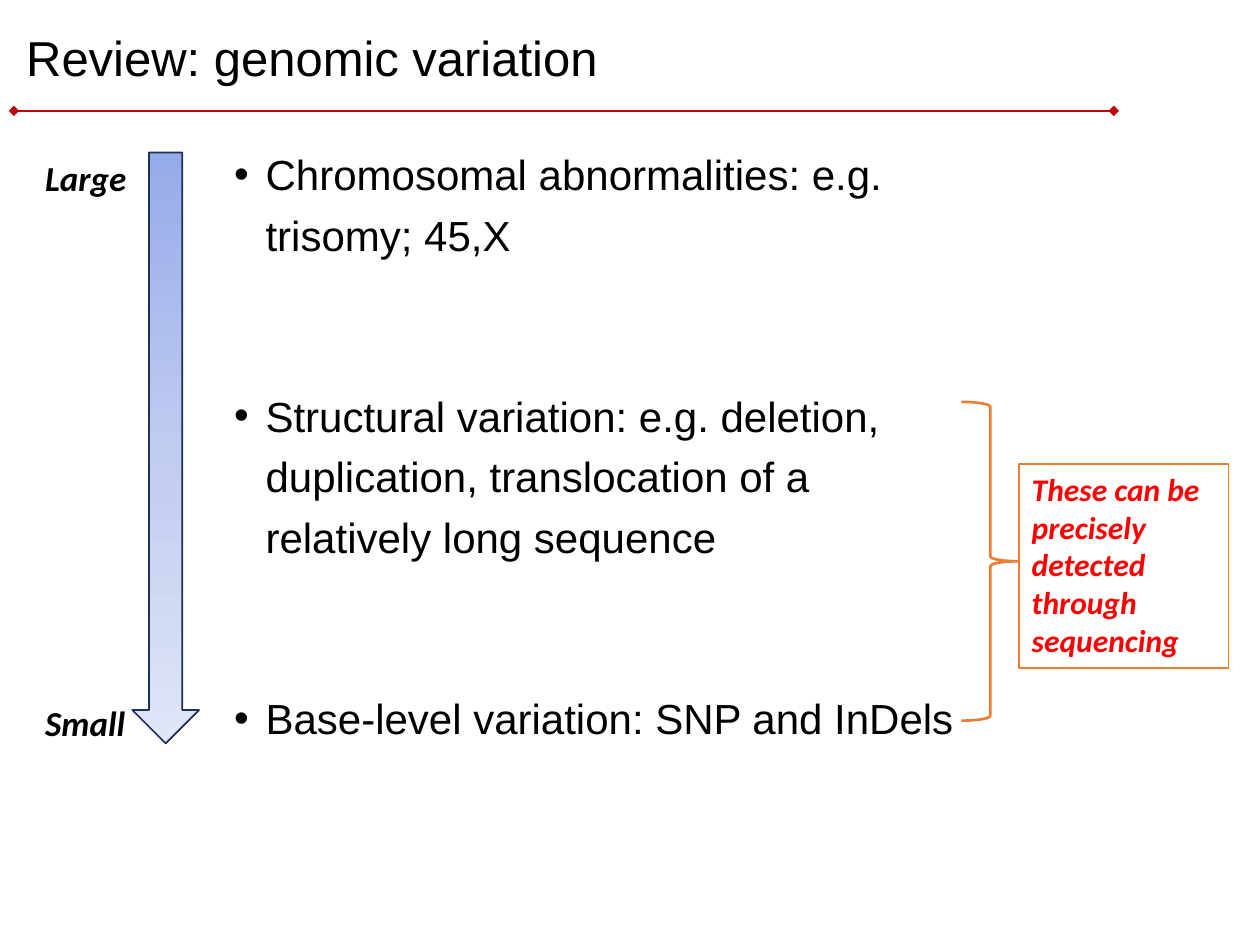
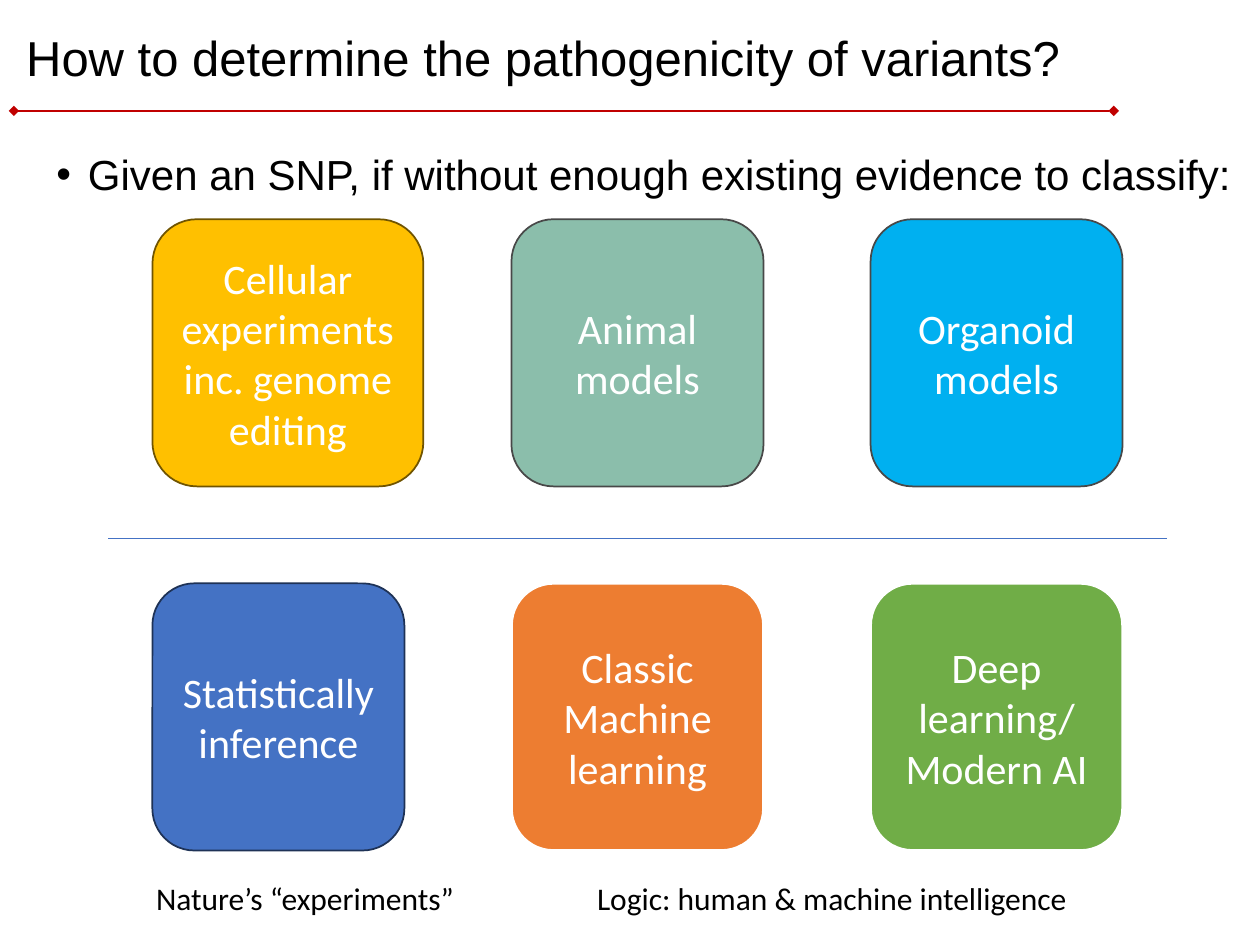
import copy
import pptx
import pptx.util
import pptx.dml.color
import pptx.enum.shapes
import pptx.enum.text
import pptx.oxml
import pptx.oxml.ns

Inches = pptx.util.Inches
Pt = pptx.util.Pt
SHAPE = pptx.enum.shapes.MSO_SHAPE
ANCHOR = pptx.enum.text.MSO_ANCHOR
ALIGN = pptx.enum.text.PP_ALIGN
qn = pptx.oxml.ns.qn

BLACK, WHITE, RED = "000000", "FFFFFF", "FF0000"
RULE, ORANGE, BLUE = "C00000", "ED7D31", "4472C4"
NAVY, GREY = "1E3256", "484848"


def rgb(color):
    return pptx.dml.color.RGBColor.from_string(color)


def element(tag, **attributes):
    el = pptx.oxml.parse_xml('<a:%s %s/>' % (tag, pptx.oxml.ns.nsdecls("a")))
    for name, value in attributes.items():
        el.set(name, value)
    return el


class Deck:
    """Shared style and the slide being filled."""
    heading_font = "Arial"
    label_font = "Calibri"

    def __init__(self):
        self.prs = pptx.Presentation()
        self.prs.slide_width = Inches(10)
        self.prs.slide_height = Inches(7.5)
        self.slide = None

    def new_slide(self, title):
        self.slide = self.prs.slides.add_slide(self.prs.slide_layouts[6])
        self.line(0.11, 0.88, 8.84, 0.88, RULE, 1, ends="diamond")
        tf = self.text_box(0.11, 0.06, 9.07, 0.84)
        tf.vertical_anchor = ANCHOR.MIDDLE
        p = tf.paragraphs[0]
        p.line_spacing = 0.9
        self.run(p, title, 28, self.heading_font)

    def run(self, p, text, size, font, color=BLACK, strong=False):
        r = p.add_run()
        r.text = text
        r.font.size = Pt(size)
        r.font.name = font
        r.font.color.rgb = rgb(color)
        if strong:
            r.font.bold = r.font.italic = True

    def text_box(self, x, y, w, h):
        sp = self.slide.shapes.add_textbox(Inches(x), Inches(y), Inches(w), Inches(h))
        sp.text_frame.word_wrap = True
        return sp.text_frame

    def label(self, x, y, w, text, size, strong=False):
        tf = self.text_box(x, y, w, 0.4)
        self.run(tf.paragraphs[0], text, size, self.label_font, strong=strong)

    def bullets(self, x, y, w, h, items, gap=0):
        tf = self.text_box(x, y, w, h)
        for i, item in enumerate(items):
            p = tf.add_paragraph() if i else tf.paragraphs[0]
            p.line_spacing = 1.2
            if i:
                p.space_before = Pt(gap)
            pPr = p._p.get_or_add_pPr()
            pPr.set("marL", str(Inches(0.25)))
            pPr.set("indent", str(-Inches(0.25)))
            pPr.append(element("buFont", typeface=self.heading_font))
            pPr.append(element("buChar", char="•"))
            self.run(p, item, 24, self.heading_font)

    def line(self, x1, y1, x2, y2, color, width, ends=None):
        cx = self.slide.shapes.add_connector(
            pptx.enum.shapes.MSO_CONNECTOR.STRAIGHT,
            Inches(x1), Inches(y1), Inches(x2), Inches(y2))
        cx.line.color.rgb = rgb(color)
        cx.line.width = Pt(width)
        if ends:
            ln = cx.line._get_or_add_ln()
            for tag in ("headEnd", "tailEnd"):
                ln.append(element(tag, type=ends))
        cx._element.spPr.append(element("effectLst"))

    def shape(self, kind, x, y, w, h, line, width, fill=None):
        sp = self.slide.shapes.add_shape(kind, Inches(x), Inches(y), Inches(w), Inches(h))
        sp.shadow.inherit = False
        sp.line.color.rgb = rgb(line)
        sp.line.width = Pt(width)
        if fill:
            sp.fill.solid()
            sp.fill.fore_color.rgb = rgb(fill)
        else:
            sp.fill.background()
        return sp

    def gradient(self, sp, colors):
        """Blend evenly spaced colours from top to bottom."""
        sp.fill.gradient()
        sp.fill.gradient_angle = 270
        stop_list = sp._element.spPr.find(qn("a:gradFill")).find(qn("a:gsLst"))
        while len(stop_list) < len(colors):
            stop_list.append(copy.deepcopy(stop_list[0]))
        for i, (stop, color) in enumerate(zip(sp.fill.gradient_stops, colors)):
            stop.position = i / (len(colors) - 1)
            stop.color.rgb = rgb(color)

    def shape_text(self, sp, lines, size, color, align, anchor, strong=False):
        tf = sp.text_frame
        tf.word_wrap = True
        tf.vertical_anchor = anchor
        for i, text in enumerate(lines):
            p = tf.add_paragraph() if i else tf.paragraphs[0]
            p.alignment = align
            self.run(p, text, size, self.label_font, color, strong)

    def method_card(self, x, y, w, lines, fill, line, width):
        sp = self.shape(SHAPE.ROUNDED_RECTANGLE, x, y, w, 2.12, line, width, fill)
        self.shape_text(sp, lines, 24, WHITE, ALIGN.CENTER, ANCHOR.MIDDLE)


def variation_slide(deck):
    deck.new_slide("Review: genomic variation")
    deck.bullets(1.76, 1.05, 6.16, 5.71, [
        "Chromosomal abnormalities: e.g. trisomy; 45,X",
        "Structural variation: e.g. deletion, duplication, translocation "
        "of a relatively long sequence",
        "Base-level variation: SNP and InDels",
    ], gap=69)

    # Size scale
    arrow = deck.shape(SHAPE.DOWN_ARROW, 1.05, 1.21, 0.53, 4.69, NAVY, 1)
    deck.gradient(arrow, ["96ABEA", "C0CBF0", "E0E5F7"])
    for text, y in (("Large", 1.19), ("Small", 5.52)):
        deck.label(0.26, y, 1, text, 20, strong=True)

    # Sequencing callout
    deck.shape(SHAPE.RIGHT_BRACE, 7.63, 3.19, 0.46, 2.53, ORANGE, 1.5)
    callout = deck.shape(SHAPE.RECTANGLE, 8.09, 3.68, 1.66, 1.62, ORANGE, 1, WHITE)
    deck.shape_text(callout, ["These can be precisely detected through sequencing"],
                    18, RED, ALIGN.LEFT, ANCHOR.TOP, strong=True)


def pathogenicity_slide(deck):
    deck.new_slide("How to determine the pathogenicity of variants?")
    deck.bullets(0.35, 1.05, 9.6, 0.65, [
        "Given an SNP, if without enough existing evidence to classify:"])

    # Experimental methods above the divider, computational ones below
    rows = [
        (1.74, [
            (2.15, ["Cellular experiments inc. genome editing"], "FFC000", "705400", 1),
            (2, ["Animal models"], "8BBEAB", GREY, 1),
            (2, ["Organoid models"], "00B0F0", GREY, 1),
        ]),
        (4.63, [
            (2, ["Statistically inference"], BLUE, NAVY, 1),
            (2, ["Classic", "Machine learning"], ORANGE, WHITE, 1.5),
            (2, ["Deep learning/", "Modern AI"], "70AD47", WHITE, 1.5),
        ]),
    ]
    for y, cards in rows:
        for column, (w, lines, fill, line, width) in enumerate(cards):
            deck.method_card(1.21 + 2.85 * column, y, w, lines, fill, line, width)
    deck.line(0.86, 4.27, 9.26, 4.27, BLUE, 0.5)

    # Captions
    deck.label(1.14, 6.93, 3.2, "Nature’s “experiments”", 18)
    deck.label(4.64, 6.93, 4.2, "Logic: human & machine intelligence", 18)


def main():
    deck = Deck()
    variation_slide(deck)
    pathogenicity_slide(deck)
    deck.prs.save("out.pptx")


if __name__ == "__main__":
    main()
